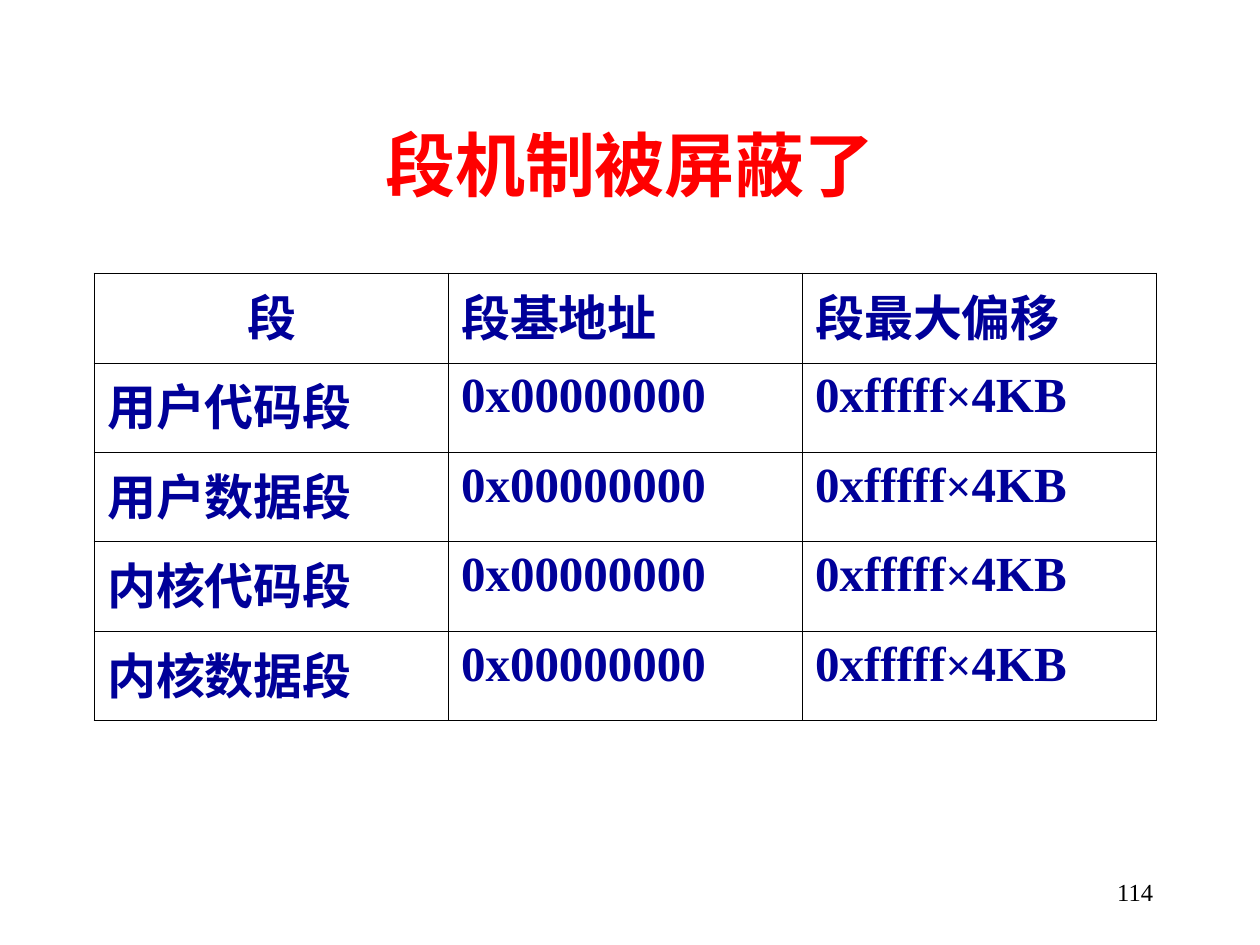
import pptx
import pptx.dml.color
import pptx.enum.text
import pptx.util
from lxml import etree

ALIGN = pptx.enum.text.PP_ALIGN
MIDDLE = pptx.enum.text.MSO_ANCHOR.MIDDLE
NAMESPACE = "{http://schemas.openxmlformats.org/drawingml/2006/main}"
OUTER_BORDER = 1.08
INNER_BORDER = 0.45


def format_run(run, size, name, color, bold=False):
    run.font.size = pptx.util.Pt(size)
    run.font.name = name
    run.font.bold = bold
    run.font.color.rgb = pptx.dml.color.RGBColor.from_string(color)


def add_border(cell, side, width):
    properties = cell._tc.get_or_add_tcPr()
    line = etree.SubElement(properties, NAMESPACE + "ln" + side, w=str(pptx.util.Pt(width)))
    fill = etree.SubElement(line, NAMESPACE + "solidFill")
    etree.SubElement(fill, NAMESPACE + "srgbClr", val="000000")


presentation = pptx.Presentation()
presentation.slide_width = pptx.util.Inches(10)
presentation.slide_height = pptx.util.Inches(7.5)
slide = presentation.slides.add_slide(presentation.slide_layouts[6])

labels = [
    ("114", (7.17, 6.83, 2.08, 0.5), ALIGN.RIGHT, 14, "Times New Roman", "000000", False),
    ("段机制被屏蔽了", (0.75, 0.67, 8.5, 1.25), ALIGN.CENTER, 40, "Arial", "FF0000", True),
]
for text, place, alignment, size, name, color, bold in labels:
    shape = slide.shapes.add_textbox(*map(pptx.util.Inches, place))
    shape.text_frame.word_wrap = True
    shape.text_frame.vertical_anchor = MIDDLE
    shape.text_frame.text = text
    paragraph = shape.text_frame.paragraphs[0]
    paragraph.alignment = alignment
    format_run(paragraph.runs[0], size, name, color, bold)

segments = ["用户代码段", "用户数据段", "内核代码段", "内核数据段"]
rows = [[["段"], ["段基地址"], ["段最大偏移"]]]
rows += [[[segment], ["0x00000000"], ["0xfffff", "×", "4KB"]] for segment in segments]
last_row = len(rows) - 1
last_column = len(rows[0]) - 1

table_place = map(pptx.util.Inches, (0.75, 2.17, 8.43, 3.55))
table = slide.shapes.add_table(len(rows), len(rows[0]), *table_place).table
table.first_row = False
table.horz_banding = False

for row_index, row in enumerate(rows):
    for column_index, parts in enumerate(row):
        cell = table.cell(row_index, column_index)
        edges = {
            "L": column_index == 0,
            "R": column_index == last_column,
            "T": row_index == 0,
            "B": row_index == last_row,
        }
        for side, is_outer in edges.items():
            add_border(cell, side, OUTER_BORDER if is_outer else INNER_BORDER)
        cell.fill.background()
        paragraph = cell.text_frame.paragraphs[0]
        paragraph.alignment = ALIGN.CENTER if parts == ["段"] else ALIGN.LEFT
        for part in parts:
            run = paragraph.add_run()
            run.text = part
            format_run(run, 26 if part == "×" else 28, "Times New Roman", "000099", True)

presentation.save("out.pptx")
